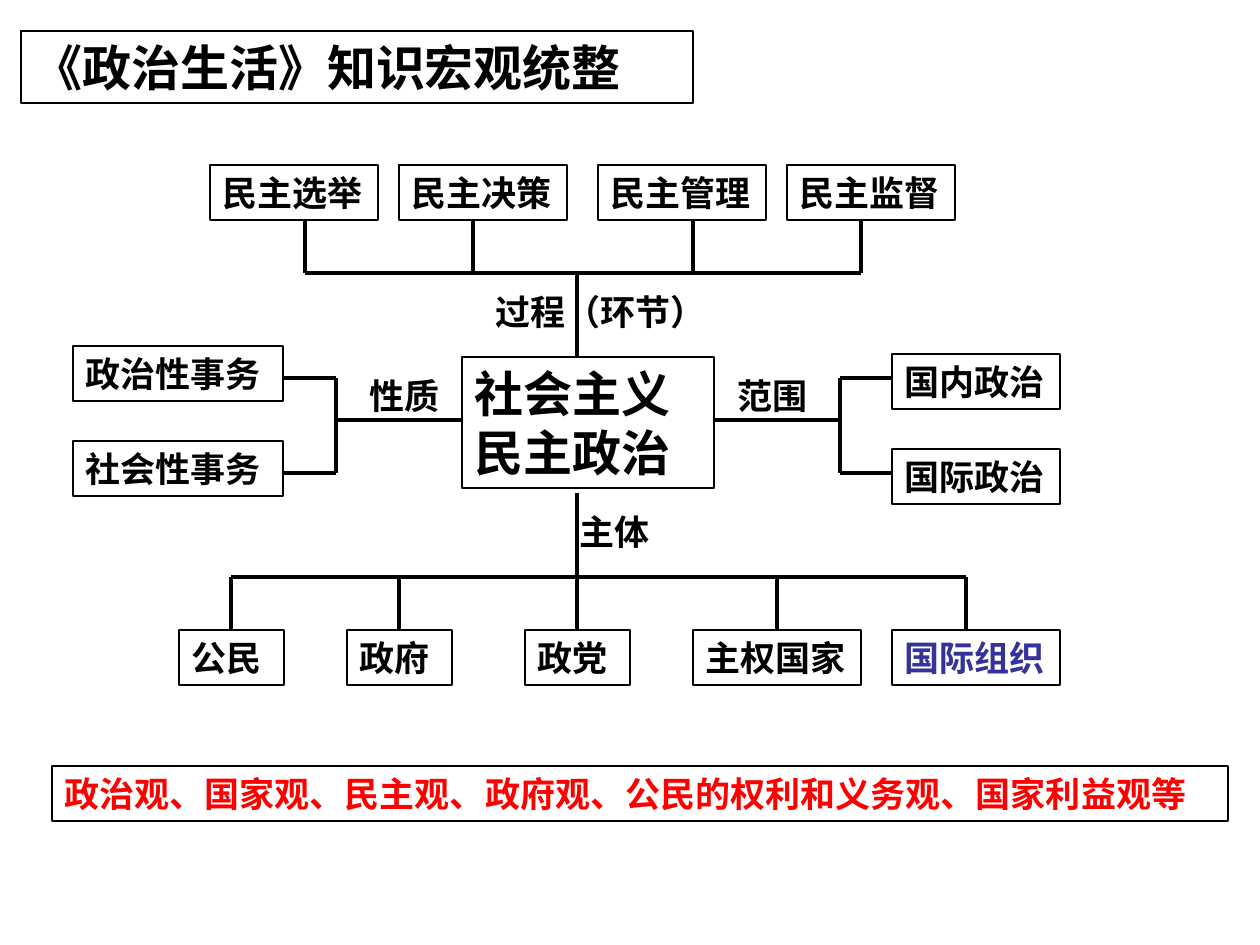
from dataclasses import dataclass

from lxml.etree import SubElement
from pptx import Presentation
from pptx.dml.color import RGBColor
from pptx.enum.shapes import MSO_CONNECTOR as Connector, MSO_SHAPE as Shape
from pptx.enum.text import MSO_ANCHOR as Anchor, MSO_AUTO_SIZE as AutoSize, PP_ALIGN as Align
from pptx.oxml.ns import qn
from pptx.util import Pt

SCALE = 914400 / 126


@dataclass(frozen=True)
class Theme:
    """Colours, type sizes and line widths of the slide."""
    font: str = "Noto Sans CJK SC"
    ink: str = "000000"
    paper: str = "FFFFFF"
    accent: str = "333399"
    alert: str = "FF0000"
    large: int = 28
    normal: int = 20
    border: float = 0.75
    stroke: float = 2
    row: int = 55


THEME = Theme()


def px(length):
    """Turn px into EMU."""
    return round(length * SCALE)


def style_text(shape, text, size, color):
    """Write bold, left-aligned text into a shape."""
    frame = shape.text_frame
    frame.text = text
    frame.word_wrap = True
    frame.auto_size = AutoSize.NONE
    frame.vertical_anchor = Anchor.MIDDLE
    for para in frame.paragraphs:
        para.alignment = Align.LEFT
        font = para.font
        font.name, font.size, font.bold = THEME.font, Pt(size), True
        font.color.rgb = RGBColor.from_string(color)
        east_asian = SubElement(para._p.pPr.find(qn("a:defRPr")), qn("a:ea"))
        east_asian.set("typeface", THEME.font)


def style_border(shape, color):
    """Give a shape a thin outline."""
    shape.line.color.rgb = RGBColor.from_string(color)
    shape.line.width = Pt(THEME.border)


def add_box(page, text, left, top, width, height=THEME.row,
            size=THEME.normal, color=THEME.ink, border=THEME.ink):
    """Add an outlined rectangle holding text."""
    box = page.shapes.add_shape(Shape.RECTANGLE, px(left), px(top), px(width), px(height))
    box.shadow.inherit = False
    box.fill.background()
    style_border(box, border)
    style_text(box, text, size, color)


def add_line(page, x1, y1, x2, y2):
    """Add a straight connecting line."""
    line = page.shapes.add_connector(Connector.STRAIGHT, px(x1), px(y1), px(x2), px(y2))
    line.line.color.rgb = RGBColor.from_string(THEME.ink)
    line.line.width = Pt(THEME.stroke)
    SubElement(line._element.spPr, qn("a:effectLst"))


def add_title(page, text, left, top, width, height):
    """Place the outlined slide title."""
    title = page.shapes.title
    title.left, title.top = px(left), px(top)
    title.width, title.height = px(width), px(height)
    style_border(title, THEME.ink)
    style_text(title, text, THEME.large, THEME.ink)


def add_core(page, left, top, width, height):
    """Place the central topic, its four stems and their labels."""
    stem_x, stem_y = left + 115, top + 63
    right, bottom = left + width, top + height
    labels = (("范围", right + 11, top + 11, 116), ("性质", left - 105, top + 11, 116),
              ("过程（环节）", left + 21, top - 73, 242), ("主体", left + 105, top + 147, 168))
    for text, x, y, label_width in labels:
        add_box(page, text, x, y, label_width, border=THEME.paper)
    add_box(page, "社会主义\v民主政治", left, top, width, height, size=THEME.large)
    add_line(page, stem_x, bottom + 5, stem_x, top + 220)
    add_line(page, stem_x, top - 84, stem_x, top)
    add_line(page, right, stem_y, right + 126, stem_y)
    add_line(page, left - 126, stem_y, left, stem_y)


def add_row(page, left, top, items, edge, bus):
    """Place a row of boxes joined from one edge to a horizontal bus."""
    taps = [left + tap for _, _, _, tap, _ in items]
    for text, offset, width, tap, color in items:
        add_box(page, text, left + offset, top, width, color=color)
        add_line(page, left + tap, top + edge, left + tap, top + bus)
    add_line(page, min(taps), top + bus, max(taps), top + bus)


def add_pair(page, left, top, width, texts, edge, bus, first_tap):
    """Place two stacked boxes joined from one side to a vertical bus."""
    pitch = 95
    for index, text in enumerate(texts):
        tap = top + first_tap + index * pitch
        add_box(page, text, left, top + index * pitch, width)
        add_line(page, left + edge, tap, left + bus, tap)
    add_line(page, left + bus, top + first_tap, left + bus, top + first_tap + pitch)


def main():
    """Build and save the deck."""
    deck = Presentation()
    deck.slide_width, deck.slide_height = px(1260), px(945)
    page = deck.slides.add_slide(deck.slide_layouts[5])
    stages = (("民主选举", 0, 168, 95, THEME.ink), ("民主决策", 189, 168, 263, THEME.ink),
              ("民主管理", 388, 168, 483, THEME.ink), ("民主监督", 577, 168, 651, THEME.ink))
    subjects = (("公民", 0, 105, 52, THEME.ink), ("政府", 168, 105, 220, THEME.ink),
                ("政党", 346, 105, 398, THEME.ink), ("主权国家", 514, 168, 598, THEME.ink),
                ("国际组织", 713, 168, 787, THEME.accent))
    add_title(page, "《政治生活》知识宏观统整", 21, 31, 672, 72)
    add_core(page, 462, 357, 252, 131)
    add_row(page, 210, 165, stages, edge=THEME.row, bus=108)
    add_pair(page, 73, 346, 210, ("政治性事务", "社会性事务"), edge=210, bus=263, first_tap=32)
    add_pair(page, 892, 354, 168, ("国内政治", "国际政治"), edge=0, bus=-52, first_tap=24)
    add_row(page, 179, 630, subjects, edge=0, bus=-53)
    add_box(page, "政治观、国家观、民主观、政府观、公民的权利和义务观、国家利益观等",
            52, 766, 1176, color=THEME.alert)
    deck.save("out.pptx")


if __name__ == "__main__":
    main()
